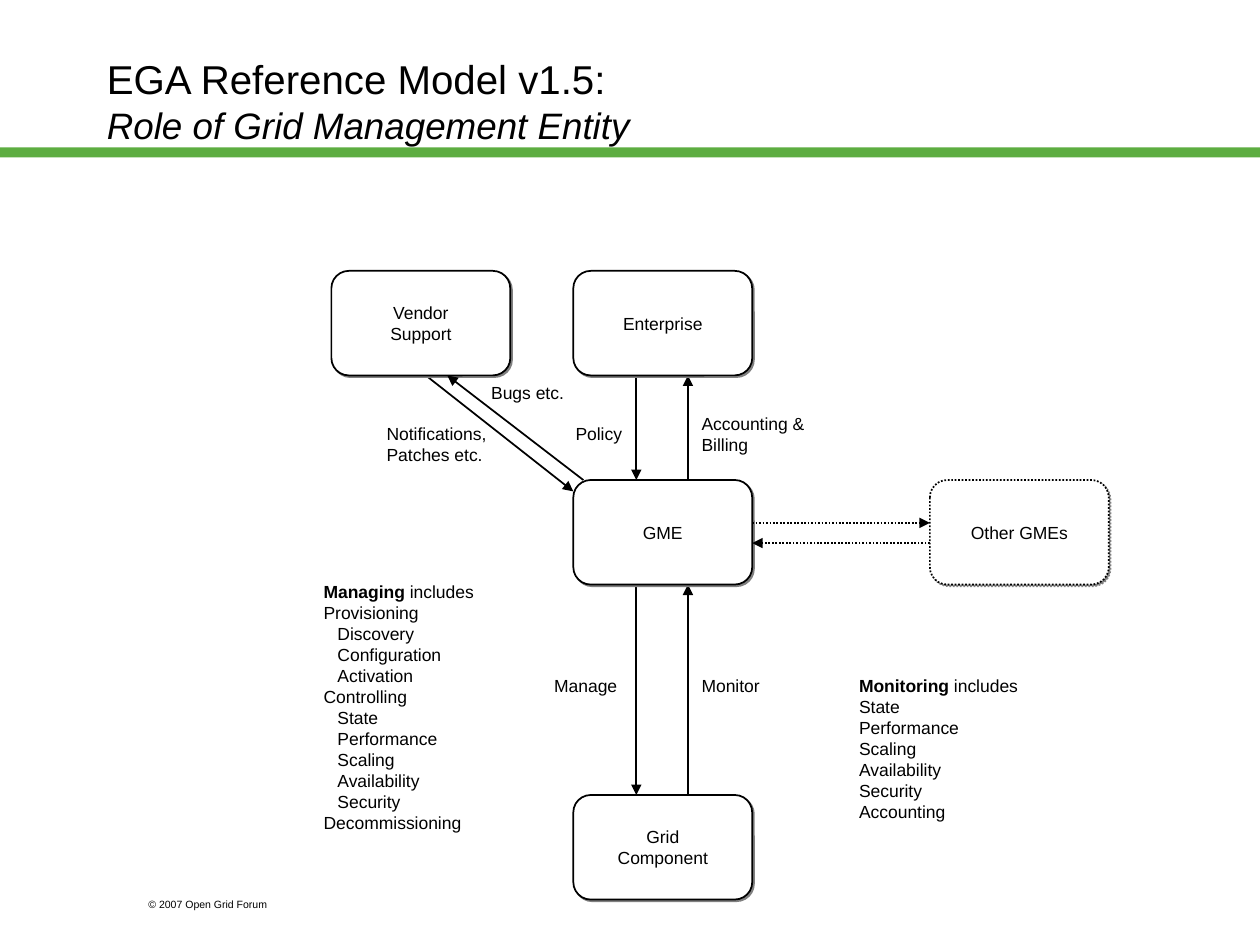
from dataclasses import dataclass

from lxml import etree
from pptx import Presentation
from pptx.dml.color import RGBColor
from pptx.enum.dml import MSO_LINE
from pptx.enum.shapes import MSO_CONNECTOR, MSO_SHAPE
from pptx.enum.text import MSO_ANCHOR, MSO_AUTO_SIZE, PP_ALIGN
from pptx.oxml.ns import qn
from pptx.util import Inches, Pt


@dataclass(frozen=True)
class Theme:
    font: str = "Arial"
    ink: RGBColor = RGBColor(0, 0, 0)
    paper: RGBColor = RGBColor(255, 255, 255)
    rule: RGBColor = RGBColor(0x5D, 0xAD, 0x41)
    shadow: str = "808080"
    title: float = 23
    subtitle: float = 21
    body: float = 10
    footer: float = 6
    line: float = 1


@dataclass(frozen=True)
class Line:
    text: str
    bold_lead: str = ""
    size: float = Theme.body
    italic: bool = False
    indent: float = 0


@dataclass(frozen=True)
class Label:
    left: float
    top: float
    width: float
    height: float
    lines: tuple
    wrap: bool = False
    anchor: MSO_ANCHOR = MSO_ANCHOR.TOP


@dataclass(frozen=True)
class Node:
    left: float
    top: float
    lines: tuple
    dotted: bool = False


@dataclass(frozen=True)
class Arrow:
    start: tuple
    end: tuple
    dotted: bool = False


THEME = Theme()
NODE_WIDTH, NODE_HEIGHT = 1.42, 0.83
CENTER_LEFT = 4.55
CENTER_RIGHT = CENTER_LEFT + NODE_WIDTH
TOP_ROW, MIDDLE_ROW, BOTTOM_ROW = 2.15, 3.81, 6.31
TOP_EDGE, MIDDLE_EDGE = TOP_ROW + NODE_HEIGHT, MIDDLE_ROW + NODE_HEIGHT
OTHER_LEFT = 7.38
DOWN_X, UP_X = 5.05, 5.46
LABEL_RIGHT = 5.47
SINGLE, DOUBLE = 0.27, 0.44


def lines(*texts: str, indent: float = 0) -> tuple:
    return tuple(Line(text, indent=indent) for text in texts)


def nested(*texts: str) -> tuple:
    return lines(*texts, indent=0.11)


NODES = (
    Node(CENTER_LEFT, MIDDLE_ROW, lines("GME")),
    Node(CENTER_LEFT, BOTTOM_ROW, lines("Grid", "Component")),
    Node(CENTER_LEFT, TOP_ROW, lines("Enterprise")),
    Node(2.63, TOP_ROW, lines("Vendor", "Support")),
    Node(OTHER_LEFT, MIDDLE_ROW, lines("Other GMEs"), dotted=True),
)
ARROWS_BEHIND = (
    Arrow((DOWN_X, MIDDLE_EDGE), (DOWN_X, BOTTOM_ROW)),
    Arrow((UP_X, BOTTOM_ROW), (UP_X, MIDDLE_EDGE)),
    Arrow((UP_X, MIDDLE_ROW), (UP_X, TOP_EDGE)),
    Arrow((DOWN_X, TOP_EDGE), (DOWN_X, MIDDLE_ROW)),
    Arrow((3.38, TOP_EDGE), (CENTER_LEFT, 3.9)),
)
ARROWS_IN_FRONT = (
    Arrow((4.63, MIDDLE_ROW), (3.55, TOP_EDGE)),
    Arrow((CENTER_RIGHT, 4.15), (OTHER_LEFT, 4.15), dotted=True),
    Arrow((OTHER_LEFT, 4.31), (CENTER_RIGHT, 4.31), dotted=True),
)
MANAGING = (
    Line(" includes", bold_lead="Managing"),
    *lines("Provisioning"),
    *nested("Discovery", "Configuration", "Activation"),
    *lines("Controlling"),
    *nested("State", "Performance", "Scaling", "Availability", "Security"),
    *lines("Decommissioning"),
)
MONITORING = (
    Line(" includes", bold_lead="Monitoring"),
    *lines("State", "Performance", "Scaling", "Availability", "Security",
           "Accounting"),
)
TITLE = (
    Line("EGA Reference Model v1.5:", size=THEME.title),
    Line("Role of Grid Management Entity", size=THEME.subtitle, italic=True),
)
LABELS = (
    Label(1.08, 7.08, 1.5, 0.2,
          (Line("© 2007 Open Grid Forum", size=THEME.footer),), wrap=True),
    Label(4.3, 5.31, 0.7, SINGLE, lines("Manage")),
    Label(LABEL_RIGHT, 5.31, 0.66, SINGLE, lines("Monitor")),
    Label(LABEL_RIGHT, 3.23, 1.03, DOUBLE, lines("Accounting &", "Billing")),
    Label(4.47, 3.31, 0.57, SINGLE, lines("Policy")),
    Label(2.97, 3.31, 0.99, DOUBLE, lines("Notifications,", "Patches etc.")),
    Label(3.8, 2.98, 0.79, SINGLE, lines("Bugs etc.")),
    Label(2.47, 4.56, 1.39, 2.11, MANAGING),
    Label(6.72, 5.31, 1.46, 1.27, MONITORING),
    Label(0.75, 0.17, 8.5, 1.25, TITLE, wrap=True, anchor=MSO_ANCHOR.MIDDLE),
)


def write_lines(frame, text_lines: tuple, alignment: PP_ALIGN) -> None:
    for index, line in enumerate(text_lines):
        paragraph = frame.paragraphs[0] if index == 0 else frame.add_paragraph()
        paragraph.alignment = alignment
        if line.indent:
            paragraph._p.get_or_add_pPr().set("marL", str(Inches(line.indent)))
        for text, bold in ((line.bold_lead, True), (line.text, False)):
            if not text:
                continue
            run = paragraph.add_run()
            run.text = text
            run.font.color.rgb = THEME.ink
            formats = {"name": THEME.font, "size": Pt(line.size),
                       "bold": bold, "italic": line.italic}
            for name, value in formats.items():
                setattr(run.font, name, value)


def style_line(line, dotted: bool) -> None:
    line.color.rgb = THEME.ink
    line.width = Pt(THEME.line)
    if dotted:
        line.dash_style = MSO_LINE.ROUND_DOT


def add_label(slide, label: Label) -> None:
    """Add a text box; one that does not wrap grows with its text."""
    box = slide.shapes.add_textbox(Inches(label.left), Inches(label.top),
                                   Inches(label.width), Inches(label.height))
    frame = box.text_frame
    frame.word_wrap = label.wrap
    if not label.wrap:
        frame.auto_size = MSO_AUTO_SIZE.SHAPE_TO_FIT_TEXT
    frame.vertical_anchor = label.anchor
    write_lines(frame, label.lines, PP_ALIGN.LEFT)


def add_node(slide, node: Node) -> None:
    shape = slide.shapes.add_shape(
        MSO_SHAPE.FLOWCHART_ALTERNATE_PROCESS, Inches(node.left),
        Inches(node.top), Inches(NODE_WIDTH), Inches(NODE_HEIGHT))
    shape.fill.solid()
    shape.fill.fore_color.rgb = THEME.paper
    style_line(shape.line, node.dotted)
    shape.shadow.inherit = False
    effects = shape._element.spPr.find(qn("a:effectLst"))
    shadow = etree.SubElement(effects, qn("a:outerShdw"), dist=str(Pt(1.4)),
                              dir="2700000", algn="ctr", rotWithShape="0")
    etree.SubElement(shadow, qn("a:srgbClr"), val=THEME.shadow)
    frame = shape.text_frame
    frame.word_wrap = False
    frame.vertical_anchor = MSO_ANCHOR.MIDDLE
    write_lines(frame, node.lines, PP_ALIGN.CENTER)


def add_arrow(slide, arrow: Arrow) -> None:
    ends = [Inches(value) for value in (*arrow.start, *arrow.end)]
    connector = slide.shapes.add_connector(MSO_CONNECTOR.STRAIGHT, *ends)
    style_line(connector.line, arrow.dotted)
    properties = connector._element.spPr
    etree.SubElement(properties.find(qn("a:ln")), qn("a:tailEnd"), type="triangle")
    etree.SubElement(properties, qn("a:effectLst"))


def add_rule(slide) -> None:
    rule = slide.shapes.add_shape(MSO_SHAPE.RECTANGLE, 0, Inches(1.17),
                                  Inches(10), Inches(0.08))
    rule.fill.solid()
    rule.fill.fore_color.rgb = THEME.rule
    rule.line.fill.background()
    rule.shadow.inherit = False


def main() -> None:
    presentation = Presentation()
    presentation.slide_width, presentation.slide_height = Inches(10), Inches(7.5)
    slide = presentation.slides.add_slide(presentation.slide_layouts[6])
    add_rule(slide)
    for add, items in ((add_arrow, ARROWS_BEHIND), (add_node, NODES),
                       (add_arrow, ARROWS_IN_FRONT), (add_label, LABELS)):
        for item in items:
            add(slide, item)
    presentation.save("out.pptx")


if __name__ == "__main__":
    main()
